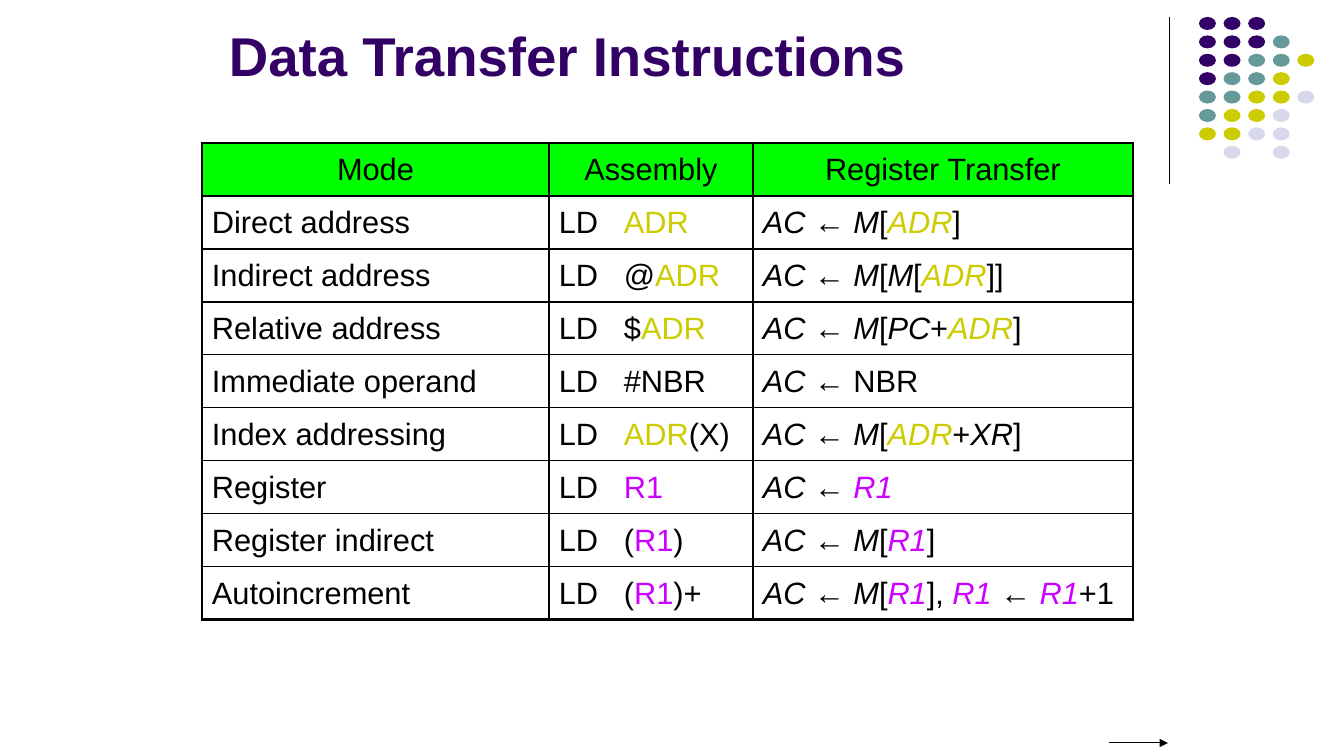
from itertools import groupby

from lxml.etree import SubElement
from pptx import Presentation
from pptx.dml.color import RGBColor
from pptx.enum.shapes import MSO_CONNECTOR, MSO_SHAPE
from pptx.enum.text import MSO_ANCHOR as ANCHOR, PP_ALIGN as ALIGN
from pptx.oxml.ns import qn
from pptx.util import Emu, Pt

TITLE = "Data Transfer Instructions"
HEADER = ("Mode", "Assembly", "Register Transfer")
MODES = [
    ("Direct address", "LD\tADR", "AC ← M[ADR]"),
    ("Indirect address", "LD\t@ADR", "AC ← M[M[ADR]]"),
    ("Relative address", "LD\t$ADR", "AC ← M[PC+ADR]"),
    ("Immediate operand", "LD\t#NBR", "AC ← NBR"),
    ("Index addressing", "LD\tADR(X)", "AC ← M[ADR+XR]"),
    ("Register", "LD\tR1", "AC ← R1"),
    ("Register indirect", "LD\t(R1)", "AC ← M[R1]"),
    ("Autoincrement", "LD\t(R1)+", "AC ← M[R1], R1 ← R1+1"),
]
TOKEN_COLOURS = {"ADR": "CCCC00", "R1": "CC00FF"}
ITALIC_TOKENS = {"AC", "M", "PC", "XR", "ADR", "R1"}
TRANSFER_COLUMN = 2

DOT_COLOURS = {"P": "330066", "T": "669999", "Y": "CCCC00", "L": "D8D8EC"}
DOT_ROWS = ["PPP", "PPPT", "PPTTY", "PTTY", "TTYYL", "TYYL", "YYLL", " L L"]
DOT_LEFT, DOT_TOP, DOT_WIDTH, DOT_HEIGHT = 1199, 17, 17, 13
DOT_PITCH_X, DOT_PITCH_Y = 24.6, 18.4

FONT, BLACK, PURPLE, GREEN, WHITE = "Arial", "000000", "330066", "00FF00", "FFFFFF"
TABLE_LEFT, TABLE_TOP, ROW_HEIGHT = 202, 143, 53
COLUMN_WIDTHS = (347, 204, 380)
CELL_INDENT, OPERAND_TAB = 10, 65
OUTER_BORDER, INNER_BORDER = 2.25, 1


def px(length):
    return Emu(round(length * 914400 / 100.8))


def rgb(colour):
    return RGBColor.from_string(colour)


def style(font, size, colour, bold=False, italic=False):
    font.name, font.size, font.bold, font.italic = FONT, Pt(size), bold, italic
    font.color.rgb = rgb(colour)


def add_line(slide, x1, y1, x2, y2):
    line = slide.shapes.add_connector(MSO_CONNECTOR.STRAIGHT, px(x1), px(y1), px(x2), px(y2))
    line.line.color.rgb = rgb(BLACK)
    line.line.width = Pt(0.75)
    SubElement(line._element.spPr, qn("a:effectLst"))
    return line


def add_dots(slide):
    for row, pattern in enumerate(DOT_ROWS):
        for column, key in enumerate(pattern):
            if key not in DOT_COLOURS:
                continue
            dot = slide.shapes.add_shape(
                MSO_SHAPE.OVAL, px(DOT_LEFT + column * DOT_PITCH_X),
                px(DOT_TOP + row * DOT_PITCH_Y), px(DOT_WIDTH), px(DOT_HEIGHT))
            dot.shadow.inherit = False
            dot.fill.solid()
            dot.fill.fore_color.rgb = rgb(DOT_COLOURS[key])
            dot.line.fill.background()


def add_title(slide):
    title = slide.shapes.add_textbox(px(219), px(13), px(832), px(79))
    frame = title.text_frame
    frame.word_wrap = True
    frame.vertical_anchor = ANCHOR.BOTTOM
    frame.text = TITLE
    style(frame.paragraphs[0].runs[0].font, 39, PURPLE, bold=True)


def set_borders(cell, widths):
    """Draw the left, right, top and bottom borders, ahead of the cell's fill."""
    properties = cell._tc.get_or_add_tcPr()
    for position, (side, width) in enumerate(zip("LRTB", widths)):
        border = SubElement(properties, qn(f"a:ln{side}"), w=str(Pt(width)))
        SubElement(SubElement(border, qn("a:solidFill")), qn("a:srgbClr"), val=BLACK)
        properties.insert(position, border)


def write_cell(cell, text, is_header, is_transfer):
    """Write the text, one run for each word or group of symbols."""
    cell.margin_left = px(0 if is_header else CELL_INDENT)
    cell.margin_right = cell.margin_top = cell.margin_bottom = 0
    cell.vertical_anchor = ANCHOR.MIDDLE
    cell.fill.solid()
    cell.fill.fore_color.rgb = rgb(GREEN if is_header else WHITE)
    paragraph = cell.text_frame.paragraphs[0]
    paragraph.alignment = ALIGN.CENTER if is_header else ALIGN.LEFT
    if "\t" in text:
        tabs = SubElement(paragraph._p.get_or_add_pPr(), qn("a:tabLst"))
        SubElement(tabs, qn("a:tab"), pos=str(px(OPERAND_TAB)), algn="l")
    for _, characters in groupby(text, str.isalnum):
        token = "".join(characters)
        run = paragraph.add_run()
        run.text = token
        style(run.font, 22, TOKEN_COLOURS.get(token, BLACK),
              italic=is_transfer and token in ITALIC_TOKENS)


def add_mode_table(slide):
    rows = [HEADER, *MODES]
    last_row, last_column = len(rows) - 1, len(HEADER) - 1
    table = slide.shapes.add_table(
        len(rows), len(HEADER), px(TABLE_LEFT), px(TABLE_TOP),
        px(sum(COLUMN_WIDTHS)), px(ROW_HEIGHT * len(rows))).table
    for column, width in zip(table.columns, COLUMN_WIDTHS):
        column.width = px(width)
    for r, row in enumerate(rows):
        table.rows[r].height = px(ROW_HEIGHT)
        for c, text in enumerate(row):
            cell = table.cell(r, c)
            write_cell(cell, text, r == 0, c == TRANSFER_COLUMN)
            at_edge = (c == 0, c == last_column, r == 0, r == last_row)
            set_borders(cell, [OUTER_BORDER if edge else INNER_BORDER for edge in at_edge])


def main():
    deck = Presentation()
    deck.slide_width, deck.slide_height = px(1344), px(756)
    slide = deck.slides.add_slide(deck.slide_layouts[6])
    add_line(slide, 1170, 17, 1170, 184)
    add_dots(slide)
    add_title(slide)
    add_mode_table(slide)
    arrow = add_line(slide, 1109, 743, 1168, 743)
    SubElement(arrow.line._get_or_add_ln(), qn("a:tailEnd"), type="triangle")
    deck.save("out.pptx")


if __name__ == "__main__":
    main()
